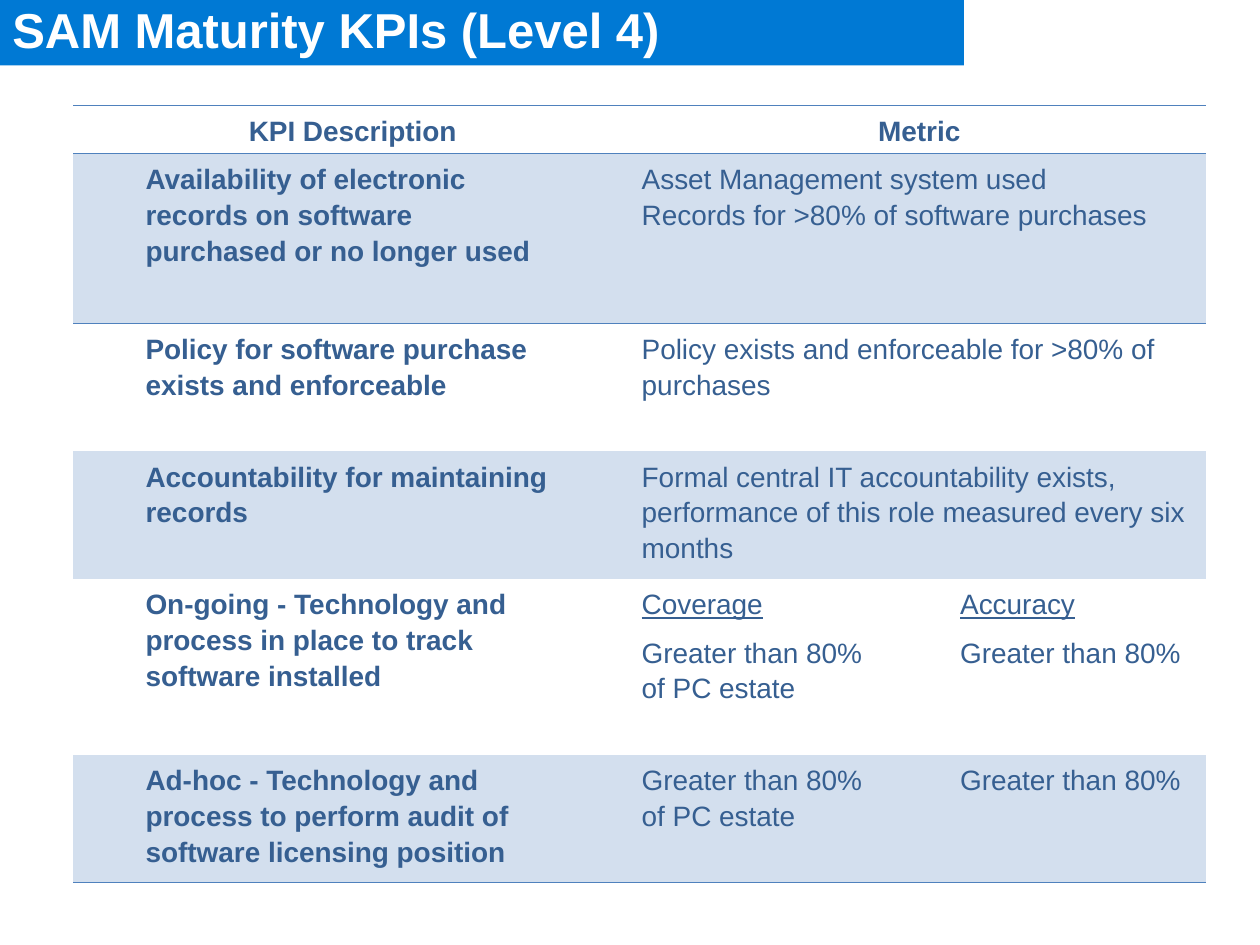
import dataclasses
import typing

import lxml.etree
import pptx
import pptx.dml.color
import pptx.enum.shapes
import pptx.enum.text
import pptx.oxml.ns
import pptx.util

Pt = pptx.util.Pt
RGB = pptx.dml.color.RGBColor
Align = pptx.enum.text.PP_ALIGN
qn = pptx.oxml.ns.qn


@dataclasses.dataclass(frozen=True)
class Theme:
    font: str = "Arial"
    title: float = 28
    body: float = 16
    text: str = "365F91"
    band: str = "D3DFEE"
    rule: str = "4F81BD"
    bar: str = "0079D4"
    white: str = "FFFFFF"
    style: str = "{2D5ABB26-0587-4C30-8999-92F81FD0307C}"  # no style, no grid


@dataclasses.dataclass(frozen=True)
class Entry:
    row: int
    col: int
    lines: tuple[str, ...]
    bold: bool = False
    under: bool = False
    center: bool = False
    rows: int = 1
    cols: int = 1


THEME = Theme()
COLS = (283.5, 182, 182)
ROWS = (24.5, 97, 73, 73, 24.5, 73, 73)
BANDS = (1, 3, 6)
RULES = {0: "TB", 1: "T", 6: "B"}  # ruled edges by row

ENTRIES = (
    Entry(0, 0, ("KPI Description",), bold=True, center=True),
    Entry(0, 1, ("Metric",), bold=True, center=True, cols=2),
    Entry(1, 0, ("Availability of electronic records on software "
                 "purchased or no longer used",), bold=True),
    Entry(1, 1, ("Asset Management system used",
                 "Records for >80% of software purchases"), cols=2),
    Entry(2, 0, ("Policy for software purchase exists and enforceable",), bold=True),
    Entry(2, 1, ("Policy exists and enforceable for >80% of purchases",), cols=2),
    Entry(3, 0, ("Accountability for maintaining records",), bold=True),
    Entry(3, 1, ("Formal central IT accountability exists, performance of "
                 "this role measured every six months",), cols=2),
    Entry(4, 0, ("On-going - Technology and process in place to track "
                 "software installed",), bold=True, rows=2),
    Entry(4, 1, ("Coverage",), under=True),
    Entry(4, 2, ("Accuracy",), under=True),
    Entry(5, 1, ("Greater than 80% of PC estate",)),
    Entry(5, 2, ("Greater than 80%",)),
    Entry(6, 0, ("Ad-hoc - Technology and process to perform audit of "
                 "software licensing position",), bold=True),
    Entry(6, 1, ("Greater than 80% of PC estate",)),
    Entry(6, 2, ("Greater than 80%",)),
)


def set_font(para: typing.Any, size: float, color: str, bold: bool) -> None:
    font = para.font
    font.name, font.size, font.bold = THEME.font, Pt(size), bold
    font.color.rgb = RGB.from_string(color)


def add_rule(cell: typing.Any, edge: str) -> None:
    props = cell._tc.get_or_add_tcPr()
    line = lxml.etree.SubElement(props, qn(f"a:ln{edge}"), w=str(Pt(0.45)))
    fill = lxml.etree.SubElement(line, qn("a:solidFill"))
    lxml.etree.SubElement(fill, qn("a:srgbClr"), val=THEME.rule)


def dress(cell: typing.Any, row: int) -> None:
    cell.margin_left = cell.margin_right = Pt(5.4)
    cell.margin_top = cell.margin_bottom = Pt(3.6)
    for edge in RULES.get(row, ""):
        add_rule(cell, edge)
    if row in BANDS:
        cell.fill.solid()
        cell.fill.fore_color.rgb = RGB.from_string(THEME.band)
    else:
        cell.fill.background()


def write(table: typing.Any, entry: Entry) -> None:
    cell = table.cell(entry.row, entry.col)
    if entry.rows > 1 or entry.cols > 1:
        cell.merge(table.cell(entry.row + entry.rows - 1,
                              entry.col + entry.cols - 1))
    cell.text = "\n".join(entry.lines)
    for para in cell.text_frame.paragraphs:
        para._p.get_or_add_pPr().set("marL", str(Pt(36)))
        para.alignment = Align.CENTER if entry.center else Align.LEFT
        para.line_spacing = 1.15
        set_font(para, THEME.body, THEME.text, entry.bold)
        if entry.under:
            para.runs[0].font.underline = True
    if entry.col + entry.cols == len(COLS):
        para.space_after = Pt(10)


def add_grid(slide: typing.Any) -> None:
    frame = slide.shapes.add_table(len(ROWS), len(COLS), Pt(41.8), Pt(60),
                                   Pt(sum(COLS)), Pt(sum(ROWS)))
    table = frame.table
    table.first_row = table.horz_banding = False
    table._tbl.tblPr.find(qn("a:tableStyleId")).text = THEME.style
    for col, width in zip(table.columns, COLS):
        col.width = Pt(width)
    for num, (row, height) in enumerate(zip(table.rows, ROWS)):
        row.height = Pt(height)
        for cell in row.cells:
            dress(cell, num)
    for entry in ENTRIES:
        write(table, entry)


def add_title(slide: typing.Any, text: str) -> None:
    bar = slide.shapes.add_shape(pptx.enum.shapes.MSO_SHAPE.RECTANGLE,
                                 Pt(0), Pt(-3.6), Pt(550.8), Pt(41))
    bar.shadow.inherit = False
    bar.fill.solid()
    bar.fill.fore_color.rgb = RGB.from_string(THEME.bar)
    bar.line.fill.background()
    frame = bar.text_frame
    frame.word_wrap = True
    frame.vertical_anchor = pptx.enum.text.MSO_ANCHOR.TOP
    frame.text = text
    para = frame.paragraphs[0]
    para.alignment = Align.LEFT
    set_font(para, THEME.title, THEME.white, True)


def main() -> None:
    deck = pptx.Presentation()
    deck.slide_width, deck.slide_height = Pt(720), Pt(540)
    slide = deck.slides.add_slide(deck.slide_layouts[6])
    # KPI table
    add_grid(slide)
    # Title bar
    add_title(slide, "SAM Maturity KPIs (Level 4)")
    deck.save("out.pptx")


if __name__ == "__main__":
    main()
